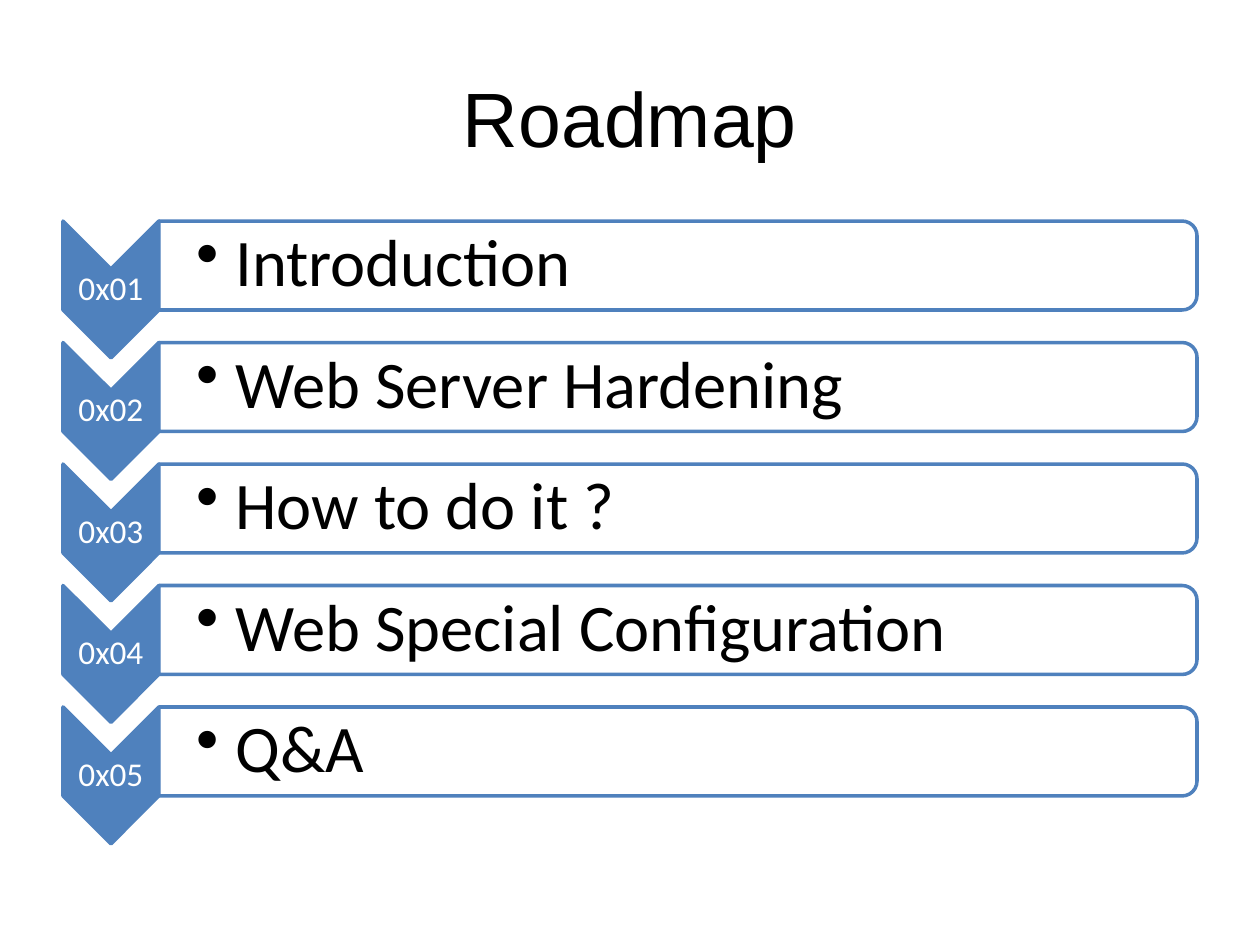
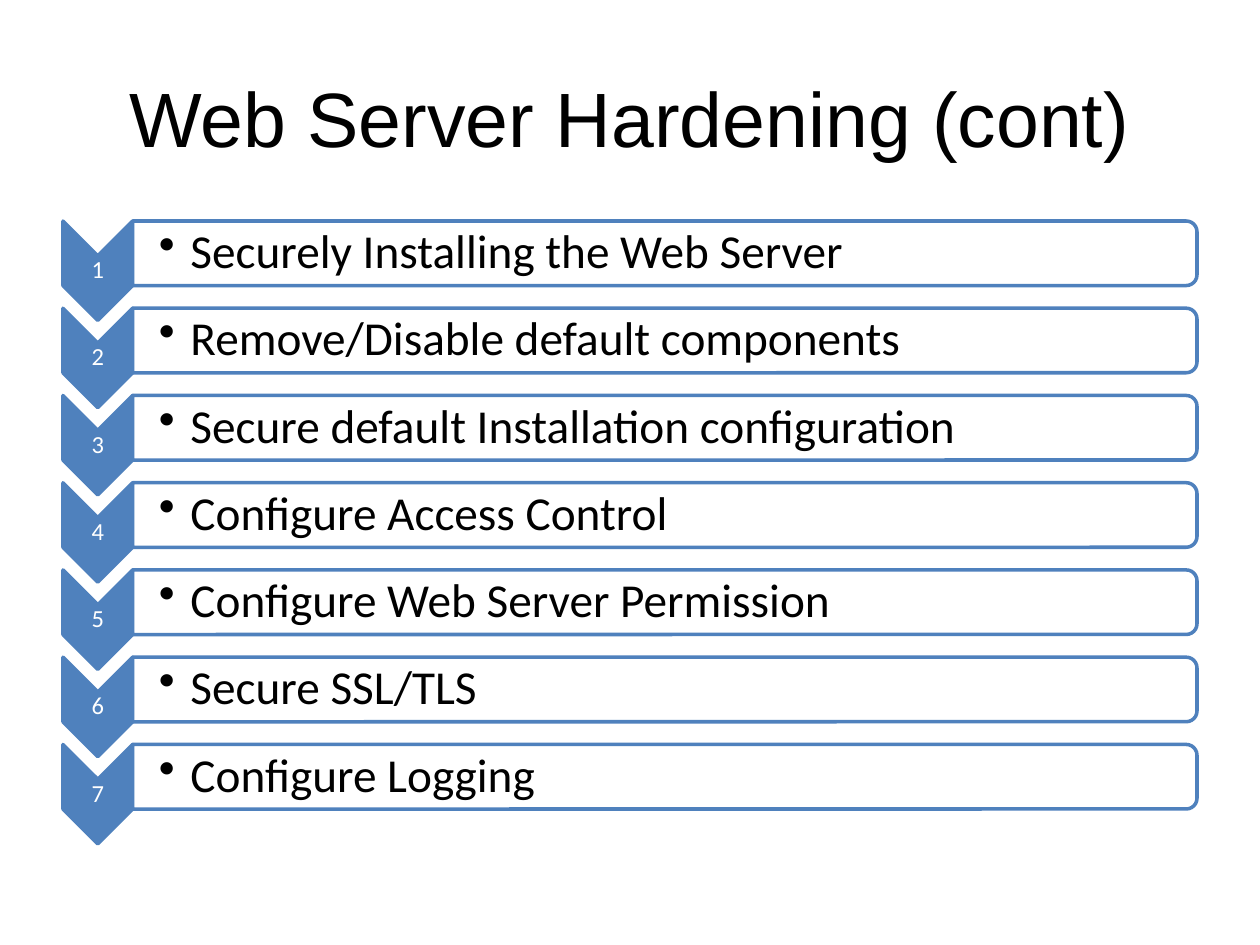
from lxml import etree
from pptx import Presentation
from pptx.dml.color import RGBColor
from pptx.enum.shapes import MSO_SHAPE
from pptx.enum.text import MSO_ANCHOR, PP_ALIGN
from pptx.oxml.ns import qn
from pptx.util import Pt

# Content
SLIDES = [
    {
        "title": "Roadmap",
        "rows": [
            ("0x01", "Introduction"),
            ("0x02", "Web Server Hardening"),
            ("0x03", "How to do it ?"),
            ("0x04", "Web Special Configuration"),
            ("0x05", "Q&A"),
        ],
        "chevron_width": 54.75, "label_size": 19, "text_size": 38, "hanging": 22.5,
    },
    {
        "title": "Web Server Hardening (cont)",
        "rows": [
            ("1", "Securely Installing the Web Server"),
            ("2", "Remove/Disable default components"),
            ("3", "Secure default Installation configuration"),
            ("4", "Configure Access Control"),
            ("5", "Configure Web Server Permission"),
            ("6", "Secure SSL/TLS"),
            ("7", "Configure Logging"),
        ],
        "chevron_width": 39.75, "label_size": 14, "text_size": 27, "hanging": 18,
    },
]

# Shared look
COLOURS = {"accent": "4F81BD", "paper": "FFFFFF", "ink": "000000"}
TITLE_FONT, BODY_FONT = "Arial", "Calibri"
LEFT, RIGHT, TOP, BOTTOM = 36, 684, 126.3, 482.2
CHEVRON_RATIO = 0.7    # chevron width to height
BAR_RATIO = 0.65       # bar height to chevron height
CORNER_INSET = 0.05    # text inset of a bar, as a share of its height
CHEVRON, BAR = MSO_SHAPE.CHEVRON, MSO_SHAPE.ROUND_2_SAME_RECTANGLE
CENTER, START, MIDDLE = PP_ALIGN.CENTER, PP_ALIGN.LEFT, MSO_ANCHOR.MIDDLE


def colour(name):
    return RGBColor.from_string(COLOURS[name])


def add_text(page, text, place, size, ink, font=BODY_FONT, align=CENTER,
             margins=(7.2, 3.6, 7.2, 3.6), **paragraph_format):
    box = page.shapes.add_textbox(*map(Pt, place))
    frame = box.text_frame
    frame.word_wrap = True
    frame.vertical_anchor = MIDDLE
    for side, margin in zip(("left", "top", "right", "bottom"), margins):
        setattr(frame, f"margin_{side}", Pt(margin))
    para = frame.paragraphs[0]
    for name, value in {"alignment": align, **paragraph_format}.items():
        setattr(para, name, value)
    span = para.add_run()
    span.text = text
    for name, value in {"name": font, "size": Pt(size)}.items():
        setattr(span.font, name, value)
    span.font.color.rgb = colour(ink)
    return para


def add_bullet(para, hanging):
    properties = para._p.get_or_add_pPr()
    properties.set("marL", str(Pt(hanging)))
    properties.set("indent", str(-Pt(hanging)))
    etree.SubElement(properties, qn("a:buChar"), char="•")


def add_turned(page, kind, left, top, width, height, fill):
    """Place a shape turned by 90 degrees so that it covers the given area."""
    shift = (width - height) / 2
    shape = page.shapes.add_shape(
        kind, Pt(left + shift), Pt(top - shift), Pt(height), Pt(width))
    shape.rotation = 90
    shape.shadow.inherit = False
    shape.fill.solid()
    shape.fill.fore_color.rgb = colour(fill)
    shape.line.color.rgb = colour("accent")
    shape.line.width = Pt(2)
    return shape


def add_row(page, label, text, top, style):
    width = style["chevron_width"]
    height = width / CHEVRON_RATIO
    label_size, text_size = style["label_size"], style["text_size"]

    # Chevron with its label
    add_turned(page, CHEVRON, LEFT, top, width, height, "accent")
    add_text(page, label, (LEFT, top + width / 2, width, height - width),
             label_size, "paper", margins=[label_size * 0.05] * 4,
             line_spacing=0.9, space_after=Pt(label_size * 0.35))

    # Bar with its topic
    bar_left, bar_height = LEFT + width, height * BAR_RATIO
    bar_width = RIGHT - bar_left
    bar = add_turned(page, BAR, bar_left, top, bar_width, bar_height, "paper")
    fill_colour = bar._element.spPr.find(qn("a:solidFill"))[0]
    etree.SubElement(fill_colour, qn("a:alpha"), val="90000")
    inset, margin = bar_height * CORNER_INSET, text_size * 0.05
    para = add_text(
        page, text,
        (bar_left, top + inset, bar_width - inset, bar_height - 2 * inset),
        text_size, "ink", align=START,
        margins=(text_size * 0.56, margin, margin, margin),
        level=1, line_spacing=0.9, space_after=Pt(text_size * 0.15))
    add_bullet(para, style["hanging"])


def add_page(deck, content):
    page = deck.slides.add_slide(deck.slide_layouts[6])
    page.background.fill.solid()
    page.background.fill.fore_color.rgb = colour("paper")
    add_text(page, content["title"], (36, 21.6, 648, 90), 44, "ink", TITLE_FONT)
    rows = content["rows"]
    chevron_height = content["chevron_width"] / CHEVRON_RATIO
    pitch = (BOTTOM - TOP - chevron_height) / (len(rows) - 1)
    for index, (label, text) in enumerate(rows):
        add_row(page, label, text, TOP + index * pitch, content)


def main():
    deck = Presentation()
    deck.slide_width, deck.slide_height = Pt(720), Pt(540)
    for content in SLIDES:
        add_page(deck, content)
    deck.save("out.pptx")


if __name__ == "__main__":
    main()
